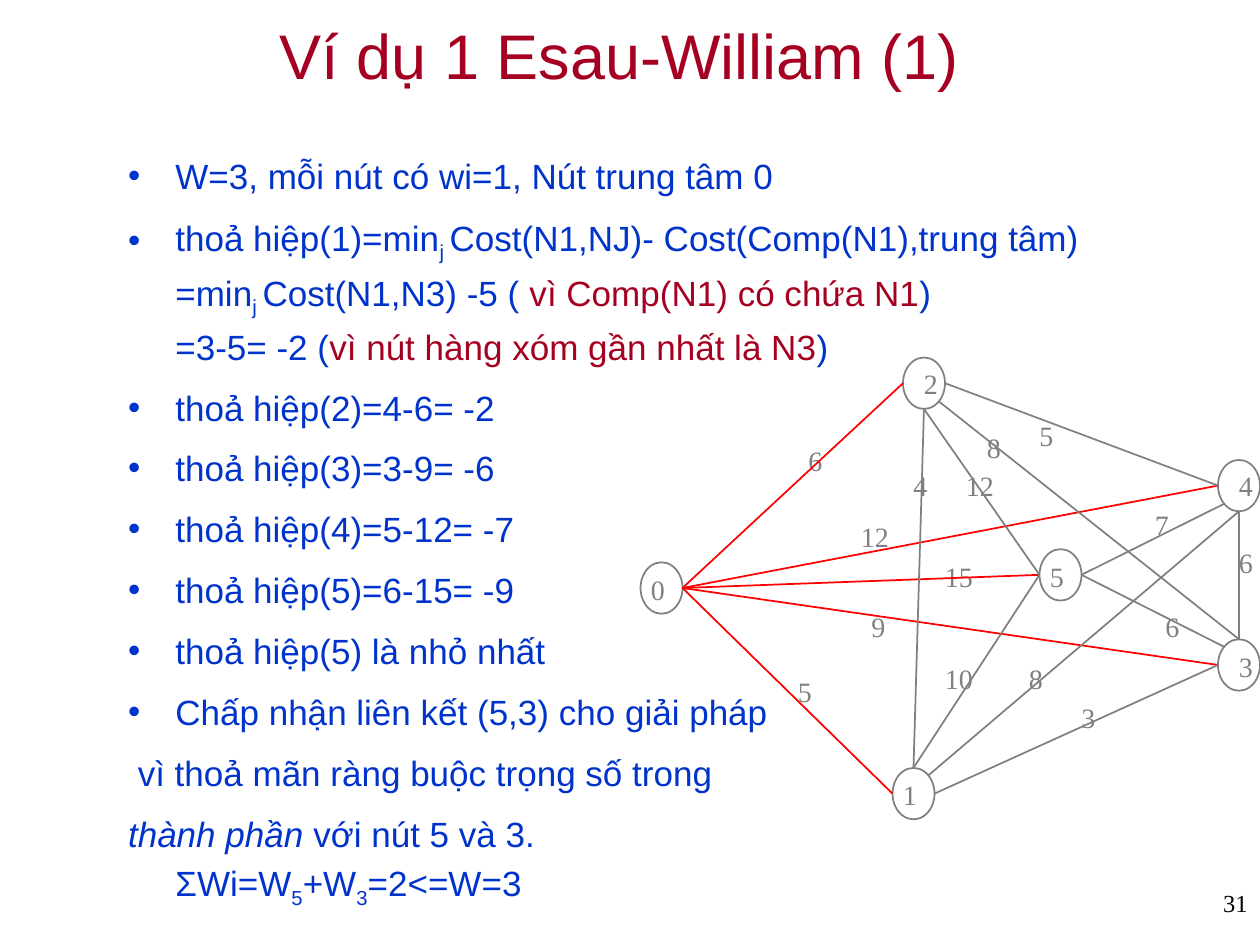
import pptx
import pptx.dml.color
import pptx.enum.shapes
import pptx.enum.text
import pptx.oxml.ns
import pptx.util
from lxml import etree

Pt = pptx.util.Pt
RGB = pptx.dml.color.RGBColor
ALIGN = pptx.enum.text.PP_ALIGN
ANCHOR = pptx.enum.text.MSO_ANCHOR
FIT = pptx.enum.text.MSO_AUTO_SIZE
qn = pptx.oxml.ns.qn

MAROON = RGB(0xA5, 0x00, 0x21)
BLUE = RGB(0x00, 0x33, 0xCC)
GREY = RGB(0x80, 0x80, 0x80)
RED = RGB(0xFF, 0x00, 0x00)
BLACK = RGB(0x00, 0x00, 0x00)
SERIF = "Times New Roman"

TITLE = "Ví dụ 1 Esau-William (1)"
SUB = {"base": -25000}
NOTE = {"color": MAROON}
HANG = 27

# Each item: bullet, first-line indent, runs of (text, format)
ITEMS = [
    ("•", -HANG, [("W=3, mỗi nút có wi=1, Nút trung tâm 0", {})]),
    ("•", -HANG, [
        ("thoả hiệp(1)=min", {}), ("j ", SUB),
        ("Cost(N1,NJ)- Cost(Comp(N1),trung tâm)\n=min", {}), ("j ", SUB),
        ("Cost(N1,N3) -5 ( ", {}), ("vì Comp(N1) có chứa N1", NOTE),
        (")\n=3-5= -2 (", {}), ("vì nút hàng xóm gần nhất là N3", NOTE),
        (")", {})]),
    ("•", -HANG, [("thoả hiệp(2)=4-6= -2", {})]),
    ("•", -HANG, [("thoả hiệp(3)=3-9= -6", {})]),
    ("•", -HANG, [("thoả hiệp(4)=5-12= -7", {})]),
    ("•", -HANG, [("thoả hiệp(5)=6-15= -9", {})]),
    ("•", -HANG, [("thoả hiệp(5) là nhỏ nhất", {})]),
    ("•", -HANG, [("Chấp nhận liên kết (5,3) cho giải pháp", {})]),
    (None, -21.5, [("vì thoả mãn ràng buộc trọng số trong", {})]),
    (None, -HANG, [
        ("thành phần", {"italic": True}), (" với nút 5 và 3.\nΣWi=W", {}),
        ("5", SUB), ("+W", {}), ("3", SUB), ("=2<=W=3", {})]),
]

# Node: centre, then left and top of its number
NODE_W, NODE_H = 24, 29.4
NODES = {
    0: (378, 336, 372, 327),
    1: (522, 453.5, 516, 444.5),
    2: (528, 219, 528, 209.5),
    3: (708, 380, 708, 371),
    4: (708, 277.5, 708, 268),
    5: (606, 328.5, 600, 319.5),
}

# Link: node, side, node, side, cost, left and top of the cost, colour
LINKS = [
    (0, "r", 2, "l", 6, 462, 253.5, RED),
    (0, "r", 1, "l", 5, 456, 385.5, RED),
    (0, "r", 5, "l", 15, 540, 319.5, RED),
    (0, "r", 4, "l", 12, 492, 297, RED),
    (0, "r", 3, "l", 9, 498, 348.5, RED),
    (1, "t", 2, "b", 4, 522, 268, GREY),
    (2, "r", 4, "l", 5, 594, 239, GREY),
    (1, "r", 3, "l", 3, 618, 400.5, GREY),
    (3, "t", 4, "b", 6, 708, 312, GREY),
    (4, "bl", 5, "r", 7, 660, 290, GREY),
    (3, "tl", 5, "r", 6, 666, 348.5, GREY),
    (2, "b", 5, "l", 12, 552, 268, GREY),
    (1, "t", 5, "l", 10, 540, 378, GREY),
    (1, "tr", 4, "b", 8, 588, 378, GREY),
    (2, "br", 3, "t", 8, 564, 246, GREY),
]


def put(par, text, font="Arial", size=20, color=BLUE, italic=False,
        base=0, align=None):
    if align is not None:
        par.alignment = align
    for n, part in enumerate(text.split("\n")):
        if n:
            par.add_line_break()
        run = par.add_run()
        run.text = part
        run.font.name, run.font.size = font, Pt(size)
        run.font.color.rgb, run.font.italic = color, italic
        if base:
            run.font._element.set("baseline", str(base))


def place(shape, left, top, width, height):
    shape.left, shape.top = Pt(left), Pt(top)
    shape.width, shape.height = Pt(width), Pt(height)


def mark(par, char, indent):
    """Set the hanging indent and the bullet, if any."""
    props = par._p.get_or_add_pPr()
    props.set("marL", str(Pt(HANG)))
    props.set("indent", str(Pt(indent)))
    if char:
        etree.SubElement(props, qn("a:buChar")).set("char", char)
    else:
        etree.SubElement(props, qn("a:buNone"))


def label(left, top, text):
    box = slide.shapes.add_textbox(
        Pt(left), Pt(top), Pt(8 * len(text)), Pt(19.4))
    frame = box.text_frame
    frame.margin_left = frame.margin_right = 0
    frame.margin_top = frame.margin_bottom = 0
    frame.word_wrap = False
    frame.auto_size = FIT.SHAPE_TO_FIT_TEXT
    put(frame.paragraphs[0], text, font=SERIF, size=16, color=GREY)


def port(node, side):
    """Point on the rim of a node; two letters name a diagonal."""
    x, y = NODES[node][:2]
    reach = 0.5 if len(side) == 1 else 0.5 ** 1.5
    x += NODE_W * reach * (("r" in side) - ("l" in side))
    y += NODE_H * reach * (("b" in side) - ("t" in side))
    return Pt(x), Pt(y)


deck = pptx.Presentation()
deck.slide_width, deck.slide_height = Pt(720), Pt(540)
slide = deck.slides.add_slide(deck.slide_layouts[1])
title, body = slide.placeholders

place(title, 30, 0, 648, 62.5)
title.text_frame.vertical_anchor = ANCHOR.MIDDLE
title.text_frame.auto_size = FIT.NONE
put(title.text_frame.paragraphs[0], TITLE, size=36, color=MAROON,
    align=ALIGN.CENTER)

place(body, 66, 81, 612, 317.5)
frame = body.text_frame
frame.auto_size = FIT.NONE
frame.vertical_anchor = ANCHOR.TOP
for n, (char, indent, runs) in enumerate(ITEMS):
    par = frame.paragraphs[0] if n == 0 else frame.add_paragraph()
    par.line_spacing = 1.15
    par.space_before, par.space_after = Pt(4.8 if n else 0), Pt(2.4)
    mark(par, char, indent)
    for text, form in runs:
        put(par, text, **form)

page = slide.shapes.add_textbox(Pt(570), Pt(504), Pt(150), Pt(36))
page.text_frame.word_wrap = True
put(page.text_frame.paragraphs[0], "31", font=SERIF, size=14, color=BLACK,
    align=ALIGN.RIGHT)

for name, (x, y, left, top) in NODES.items():
    label(left, top, str(name))
    ring = slide.shapes.add_shape(
        pptx.enum.shapes.MSO_SHAPE.OVAL, Pt(x - NODE_W / 2),
        Pt(y - NODE_H / 2), Pt(NODE_W), Pt(NODE_H))
    ring.shadow.inherit = False
    ring.fill.background()
    ring.line.color.rgb, ring.line.width = GREY, Pt(1)

for start, out, end, into, cost, left, top, color in LINKS:
    label(left, top, str(cost))
    line = slide.shapes.add_connector(
        pptx.enum.shapes.MSO_CONNECTOR.STRAIGHT,
        *port(start, out), *port(end, into))
    line.line.color.rgb, line.line.width = color, Pt(1)
    etree.SubElement(line._element.spPr, qn("a:effectLst"))

deck.save("out.pptx")
